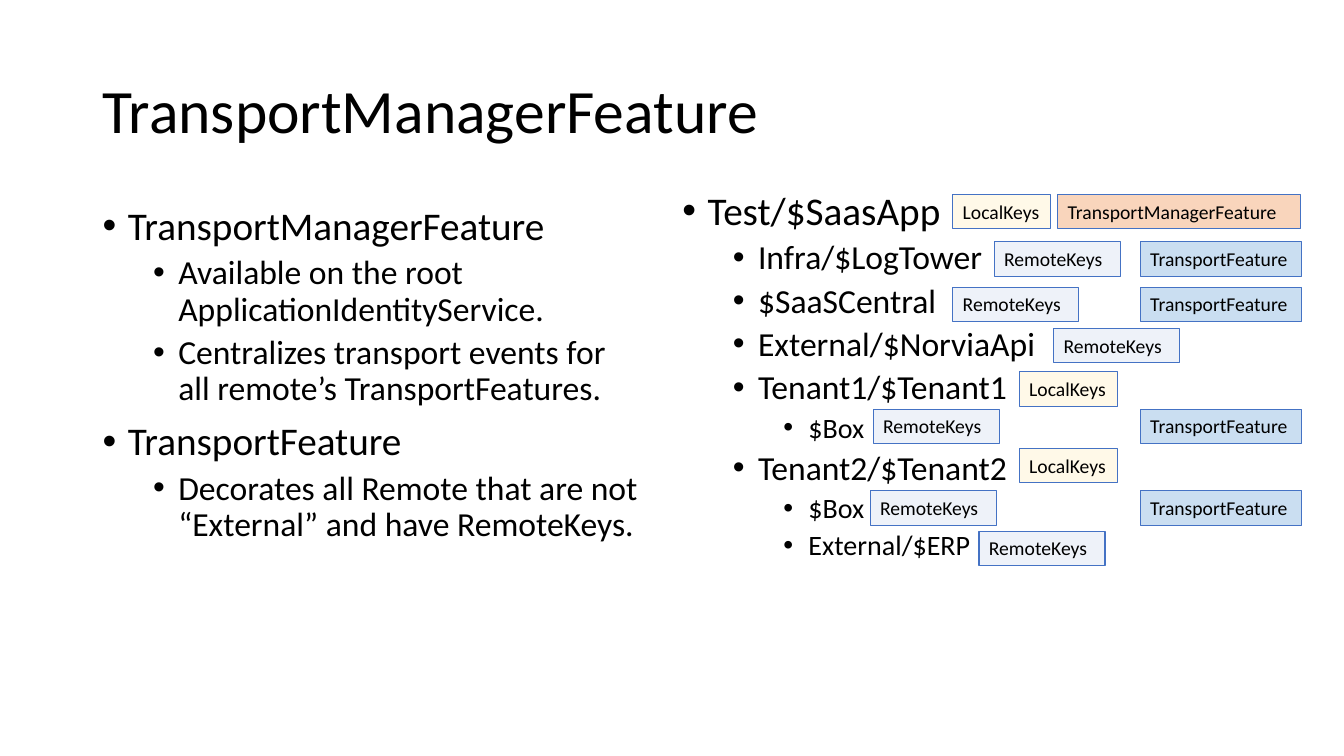
from dataclasses import dataclass

from lxml.etree import SubElement
from pptx import Presentation
from pptx.dml.color import RGBColor
from pptx.enum.shapes import MSO_SHAPE as Preset
from pptx.enum.text import MSO_ANCHOR as Anchor, MSO_AUTO_SIZE as AutoSize, PP_ALIGN as Align
from pptx.oxml.ns import qn
from pptx.util import Inches, Pt

FONT = "Calibri"
BLACK = "000000"
BORDER = "4472C4"
TAG_HEIGHT = 0.34
LEVEL_SIZES = (28, 24, 20)


@dataclass(frozen=True)
class TagStyle:
    text: str
    width: float
    color: str
    opacity: int  # percent


@dataclass(frozen=True)
class Entry:
    text: str
    level: int = 0
    top: float = 0  # shared top of the tags on this row
    tags: tuple[tuple[TagStyle, float], ...] = ()  # style and left edge


LOCAL = TagStyle("LocalKeys", 0.97, "FFC000", 9)
REMOTE = TagStyle("RemoteKeys", 1.25, "4472C4", 9)
MANAGER = TagStyle("TransportManagerFeature", 2.41, "ED7D31", 32)
FEATURE = TagStyle("TransportFeature", 1.6, "5B9BD5", 32)
FEATURE_LEFT = 11.31

FEATURES = (
    Entry("TransportManagerFeature"),
    Entry("Available on the root ApplicationIdentityService.", 1),
    Entry("Centralizes transport events for all remote’s TransportFeatures.", 1),
    Entry("TransportFeature"),
    Entry("Decorates all Remote that are not “External” and have RemoteKeys.", 1),
)
PARTIES = (
    Entry("Test/$SaasApp", 0, 1.93, ((LOCAL, 9.45), (MANAGER, 10.49))),
    Entry("Infra/$LogTower", 1, 2.4, ((REMOTE, 9.86), (FEATURE, FEATURE_LEFT))),
    Entry("$SaaSCentral", 1, 2.85, ((REMOTE, 9.45), (FEATURE, FEATURE_LEFT))),
    Entry("External/$NorviaApi", 1, 3.26, ((REMOTE, 10.45),)),
    Entry("Tenant1/$Tenant1", 1, 3.69, ((LOCAL, 10.11),)),
    Entry("$Box", 2, 4.06, ((REMOTE, 8.66), (FEATURE, FEATURE_LEFT))),
    Entry("Tenant2/$Tenant2", 1, 4.45, ((LOCAL, 10.11),)),
    Entry("$Box", 2, 4.87, ((REMOTE, 8.63), (FEATURE, FEATURE_LEFT))),
    Entry("External/$ERP", 2, 5.27, ((REMOTE, 9.71),)),
)


def rgb(color: str) -> RGBColor:
    return RGBColor.from_string(color)


def write(paragraph, text: str, *, size: float, spacing: float = 1, before: float = 0) -> None:
    paragraph.alignment = Align.LEFT
    paragraph.line_spacing = spacing
    paragraph.space_before = Pt(before)
    run = paragraph.add_run()
    run.text = text
    run.font.name = FONT
    run.font.size = Pt(size)
    run.font.color.rgb = rgb(BLACK)


def add_text_frame(slide, left: float, top: float, width: float, height: float):
    box = slide.shapes.add_textbox(Inches(left), Inches(top), Inches(width), Inches(height))
    box.text_frame.word_wrap = True
    return box.text_frame


def add_bullets(slide, entries: tuple[Entry, ...], left: float, top: float,
                width: float, height: float) -> None:
    frame = add_text_frame(slide, left, top, width, height)
    for index, entry in enumerate(entries):
        paragraph = frame.add_paragraph() if index else frame.paragraphs[0]
        paragraph.level = entry.level
        write(paragraph, entry.text, size=LEVEL_SIZES[entry.level], spacing=0.9,
              before=5 if entry.level else 10)
        properties = paragraph._p.get_or_add_pPr()
        properties.set("marL", str(Inches(0.25 + 0.5 * entry.level)))
        properties.set("indent", str(Inches(-0.25)))
        SubElement(properties, qn("a:buFont"), typeface="Arial")
        SubElement(properties, qn("a:buChar"), char="•")


def add_tag(slide, style: TagStyle, left: float, top: float) -> None:
    tag = slide.shapes.add_shape(Preset.RECTANGLE, Inches(left), Inches(top),
                                 Inches(style.width), Inches(TAG_HEIGHT))
    tag.shadow.inherit = False
    tag.fill.solid()
    tag.fill.fore_color.rgb = rgb(style.color)
    fill_color = tag.fill._xPr.find(qn("a:solidFill"))[0]
    SubElement(fill_color, qn("a:alpha"), val=str(style.opacity * 1000))
    tag.line.color.rgb = rgb(BORDER)
    tag.line.width = Pt(0.75)
    frame = tag.text_frame
    frame.word_wrap = True
    frame.auto_size = AutoSize.SHAPE_TO_FIT_TEXT
    frame.vertical_anchor = Anchor.TOP
    frame.margin_right = 0  # keeps each label on one line
    write(frame.paragraphs[0], style.text, size=14)


def main() -> None:
    deck = Presentation()
    deck.slide_width, deck.slide_height = Inches(13.33), Inches(7.5)
    slide = deck.slides.add_slide(deck.slide_layouts[6])

    # Title
    title = add_text_frame(slide, 0.92, 0.4, 11.5, 1.45)
    title.vertical_anchor = Anchor.MIDDLE
    write(title.paragraphs[0], "TransportManagerFeature", size=44, spacing=0.9)

    # Feature explanations and party tree
    add_bullets(slide, FEATURES, 0.92, 2, 5.57, 4.76)
    add_bullets(slide, PARTIES, 6.67, 1.85, 6.48, 3.88)

    # Tags beside the parties
    for party in PARTIES:
        for style, left in party.tags:
            add_tag(slide, style, left, party.top)

    deck.save("out.pptx")


if __name__ == "__main__":
    main()
